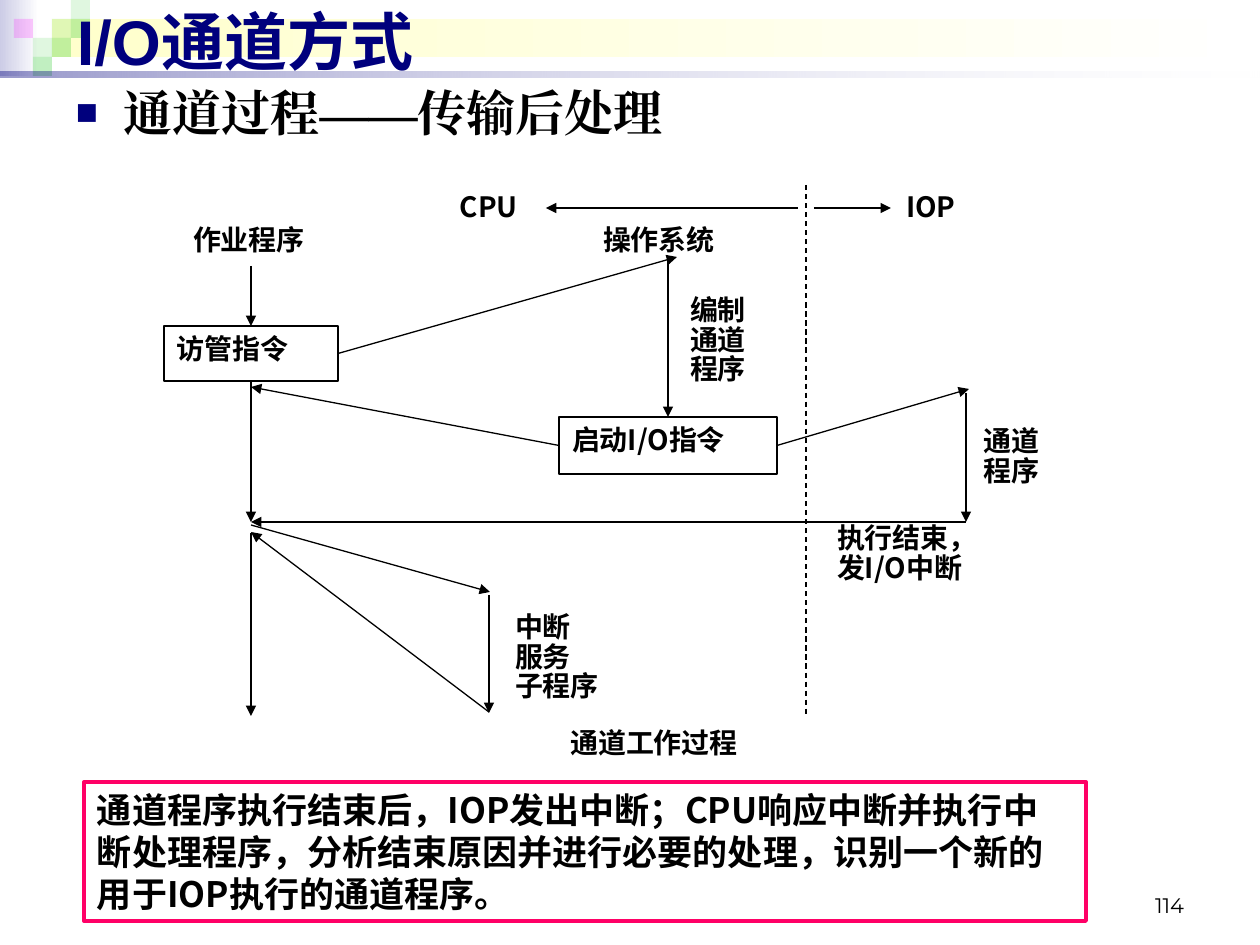
from lxml import etree
from pptx import Presentation
from pptx import util as u
from pptx.dml.color import RGBColor
from pptx.enum import dml, shapes, text
from pptx.oxml import ns

SCALE = 914400 / 126
WIDTH, HEIGHT = 1260, 945
CELL = 19
AXIS = 251
OS_AXIS = 668
INTERRUPT_AXIS = 489
IOP_AXIS = 966
DIVIDER = 806
HEADER_Y = 208
RETURN_Y = 522

BLACK = RGBColor(0, 0, 0)
WHITE = RGBColor(255, 255, 255)
NAVY = RGBColor(0, 0, 0x7D)
LAVENDER = RGBColor(0xCC, 0xCC, 0xE6)
CREAM = RGBColor(0xFF, 0xFF, 0xCC)
GREEN = RGBColor(0x33, 0xCC, 0x33)
MAGENTA = RGBColor(0xFF, 0, 0xFF)
PINK = RGBColor(0xFF, 0, 0x66)

SANS = "Noto Sans CJK SC"
ALIGN = text.PP_ALIGN
ANCHOR = text.MSO_ANCHOR
SQUARES = [(2, 1, GREEN, 15), (3, 0, GREEN, 15), (3, 1, GREEN, 30),
           (1, 2, GREEN, 15), (0, 1, MAGENTA, 20), (2, 2, GREEN, 30),
           (1, 3, GREEN, 30)]
LABELS = [
    ((690, 297, 84, 95), "编制\n通道\n程序", 0.88),
    ((193, 223, 144, 32), "作业程序", 1),
    ((603, 223, 134, 37), "操作系统", 1),
    ((984, 428, 93, 55), "通道\n程序", 0.88),
    ((515, 614, 96, 86), "中断\n服务\n子程序", 0.88),
    ((837, 525, 170, 59), "执行结束，\n发I/O中断", 0.88),
    ((460, 192, 83, 26), "CPU", 0.96),
    ((906, 192, 83, 28), "IOP", 0.96),
]


def px(length):
    """Turn px into EMU."""
    return u.Emu(round(length * SCALE))


def add_child(parent, tag, **attributes):
    """Append a DrawingML element."""
    return etree.SubElement(parent, ns.qn(tag), attributes)


def write(shape, words, size, font=SANS, color=BLACK, bold=True, inset=(0, 0),
          align=ALIGN.LEFT, anchor=ANCHOR.TOP, spacing=1):
    """Fill a shape with formatted text."""
    frame = shape.text_frame
    frame.word_wrap = True
    frame.vertical_anchor = anchor
    frame.margin_left = frame.margin_right = px(inset[0])
    frame.margin_top = frame.margin_bottom = px(inset[1])
    frame.text = words
    for para in frame.paragraphs:
        para.alignment = align
        para.line_spacing = spacing
        for span in para.runs:
            span.font.size = u.Pt(size)
            span.font.bold = bold
            span.font.color.rgb = color
            span.font.name = font
            add_child(span.font._element, "a:ea", typeface=font)


def add_text(page, place, words, size, **style):
    """Add a text box with the usual margins."""
    box = page.shapes.add_textbox(*map(px, place))
    write(box, words, size, inset=(13, 6), **style)
    return box


def add_rect(page, place, fill=None, line=None, weight=0.75):
    """Add a flat rectangle."""
    box = page.shapes.add_shape(shapes.MSO_SHAPE.RECTANGLE, *map(px, place))
    box.shadow.inherit = False
    if fill is None:
        box.fill.background()
    else:
        box.fill.solid()
        box.fill.fore_color.rgb = fill
    if line is None:
        box.line.fill.background()
    else:
        box.line.color.rgb = line
        box.line.width = u.Pt(weight)
    return box


def set_opacity(shape, *percents):
    """Set the opacity of each fill colour in turn."""
    colors = shape.element.iter(ns.qn("a:srgbClr"))
    for color, percent in zip(colors, percents):
        add_child(color, "a:alpha", val=str(percent * 1000))


def add_fade(page, place, start):
    """Add a band that fades to white from left to right."""
    band = add_rect(page, place)
    band.fill.gradient()
    band.fill.gradient_angle = 0
    for stop, color, position in zip(band.fill.gradient_stops, (start, WHITE), (0, 1)):
        stop.color.rgb = color
        stop.position = position
    return band


def add_line(page, start, end, arrow=True):
    """Draw a line between points or (box, side) pairs."""
    joined = [not isinstance(finish, int) and not isinstance(finish[0], int)
              for finish in (start, end)]
    points = [(0, 0) if is_joined else finish
              for is_joined, finish in zip(joined, (start, end))]
    line = page.shapes.add_connector(
        shapes.MSO_CONNECTOR.STRAIGHT, *(px(value) for point in points for value in point))
    if joined[0]:
        line.begin_connect(*start)
    if joined[1]:
        line.end_connect(*end)
    line.line.color.rgb = BLACK
    line.line.width = u.Pt(0.75)
    if arrow:
        add_child(line.line._get_or_add_ln(), "a:tailEnd", type="triangle")
    else:
        line.line.dash_style = dml.MSO_LINE.DASH
    add_child(line.element.spPr, "a:effectLst")


def add_banner(page):
    """Draw the decoration behind the title."""
    add_fade(page, (0, 0, 39, 76), LAVENDER)
    add_fade(page, (52, 19, 1203, 38), CREAM)
    for column, row, color, opacity in SQUARES:
        place = (14 + column * CELL, row * CELL, CELL, CELL)
        set_opacity(add_rect(page, place, color), opacity)
    set_opacity(add_fade(page, (0, 72, WIDTH, 6), NAVY), 40, 10)


def add_heading(page):
    """Add the bulleted heading."""
    box = add_text(page, (63, 76, 1182, 853), "通道过程——传输后处理", 28,
                   font="Times New Roman")
    props = box.text_frame.paragraphs[0]._p.get_or_add_pPr()
    props.set("marL", str(px(48)))
    props.set("indent", str(-px(48)))
    add_child(add_child(props, "a:buClr"), "a:srgbClr", val=str(NAVY))
    add_child(props, "a:buSzPct", val="75000")
    add_child(props, "a:buFont", typeface="Arial")
    add_child(props, "a:buChar", char="■")


def add_step(page, place, words):
    """Add an outlined instruction box."""
    box = add_rect(page, place, WHITE, BLACK)
    write(box, words, 16, inset=(13, 6), align=ALIGN.JUSTIFY)
    return box


def add_label(page, place, words, spacing=1, align=ALIGN.JUSTIFY):
    """Add a white label."""
    box = add_rect(page, place, WHITE, WHITE)
    write(box, words, 16, align=align, spacing=spacing)


def add_flow(page):
    """Draw the channel work process."""
    call = add_step(page, (164, 326, 174, 55), "访管指令")
    launch = add_step(page, (559, 417, 218, 57), "启动I/O指令")
    for label in LABELS:
        add_label(page, *label)
    add_label(page, (449, 726, 410, 34), "通道工作过程", align=ALIGN.CENTER)
    arrows = [
        ((AXIS, 266), (call, 0)),
        ((call, 3), (677, 257)),
        ((OS_AXIS, 261), (launch, 0)),
        ((call, 2), (AXIS, RETURN_Y)),
        ((launch, 1), (AXIS, 387)),
        ((launch, 3), (969, 389)),
        ((IOP_AXIS, 393), (IOP_AXIS, RETURN_Y)),
        ((IOP_AXIS, RETURN_Y), (AXIS, RETURN_Y)),
        ((AXIS, 525), (490, 592)),
        ((INTERRUPT_AXIS, 595), (INTERRUPT_AXIS, 713)),
        ((INTERRUPT_AXIS, 712), (AXIS, 532)),
        ((AXIS, 533), (AXIS, 716)),
        ((DIVIDER + 8, HEADER_Y), (891, HEADER_Y)),
        ((DIVIDER - 8, HEADER_Y), (546, HEADER_Y)),
    ]
    for start, end in arrows:
        add_line(page, start, end)
    add_line(page, (DIVIDER, 185), (DIVIDER, 716), arrow=False)


def add_summary(page):
    """Add the framed conclusion."""
    box = add_rect(page, (84, 782, 1002, 139), line=PINK, weight=2.25)
    words = ("通道程序执行结束后，IOP发出中断；CPU响应中断并执行中断处理程序，"
             "分析结束原因并进行必要的处理，识别一个新的用于IOP执行的通道程序。")
    write(box, words, 20, inset=(13, 6), anchor=ANCHOR.MIDDLE)
    box.text_frame.auto_size = text.MSO_AUTO_SIZE.SHAPE_TO_FIT_TEXT


def main():
    """Build and save the slide."""
    deck = Presentation()
    deck.slide_width, deck.slide_height = px(WIDTH), px(HEIGHT)
    page = deck.slides.add_slide(deck.slide_layouts[6])
    add_banner(page)
    add_text(page, (903, 861, 294, 63), "114", 12, font="Montserrat", bold=False,
             align=ALIGN.RIGHT, anchor=ANCHOR.BOTTOM)
    add_text(page, (64, -4, 1181, 89), "I/O通道方式", 36, font="Arial", color=NAVY,
             anchor=ANCHOR.MIDDLE)
    add_heading(page)
    add_flow(page)
    add_summary(page)
    deck.save("out.pptx")


if __name__ == "__main__":
    main()
